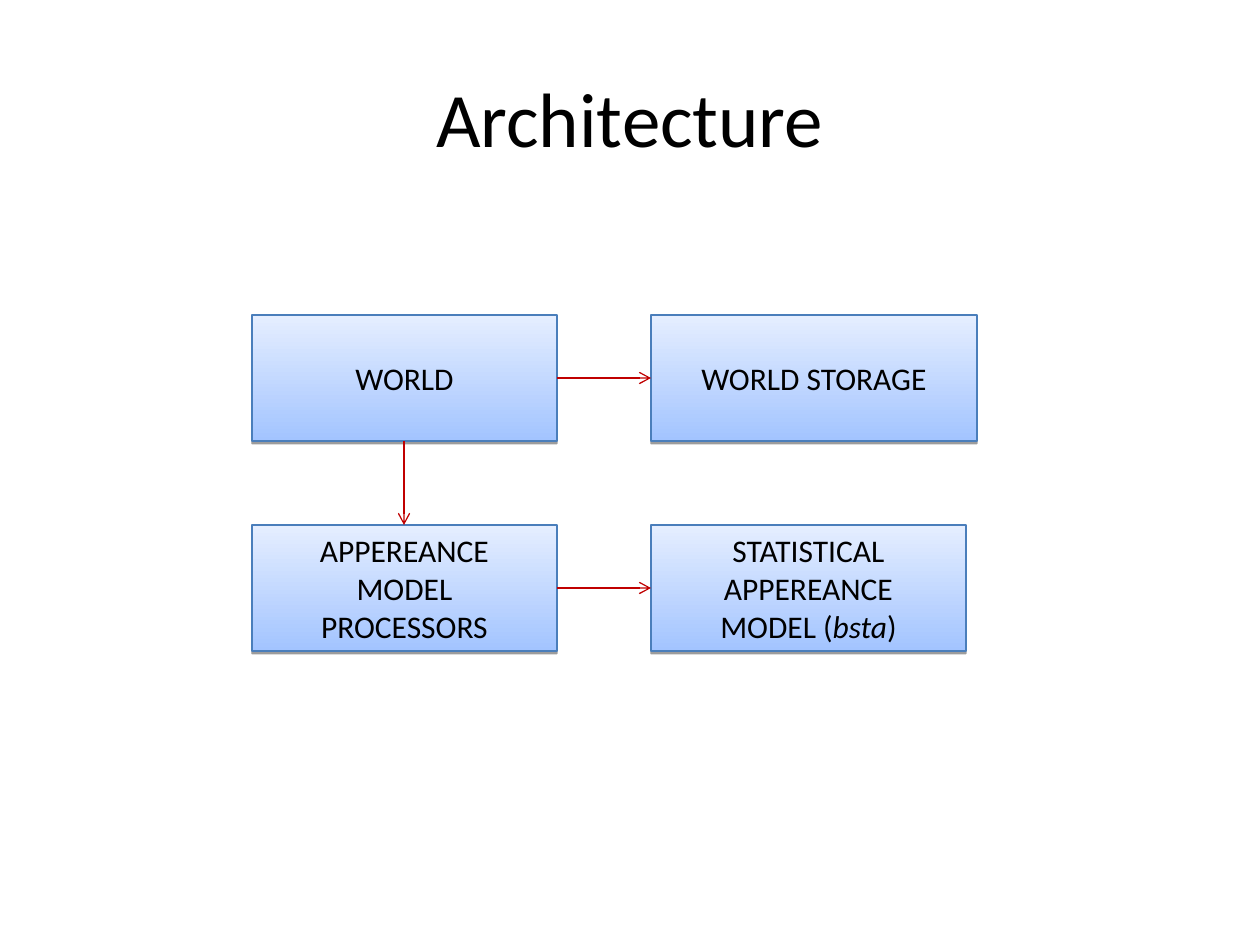
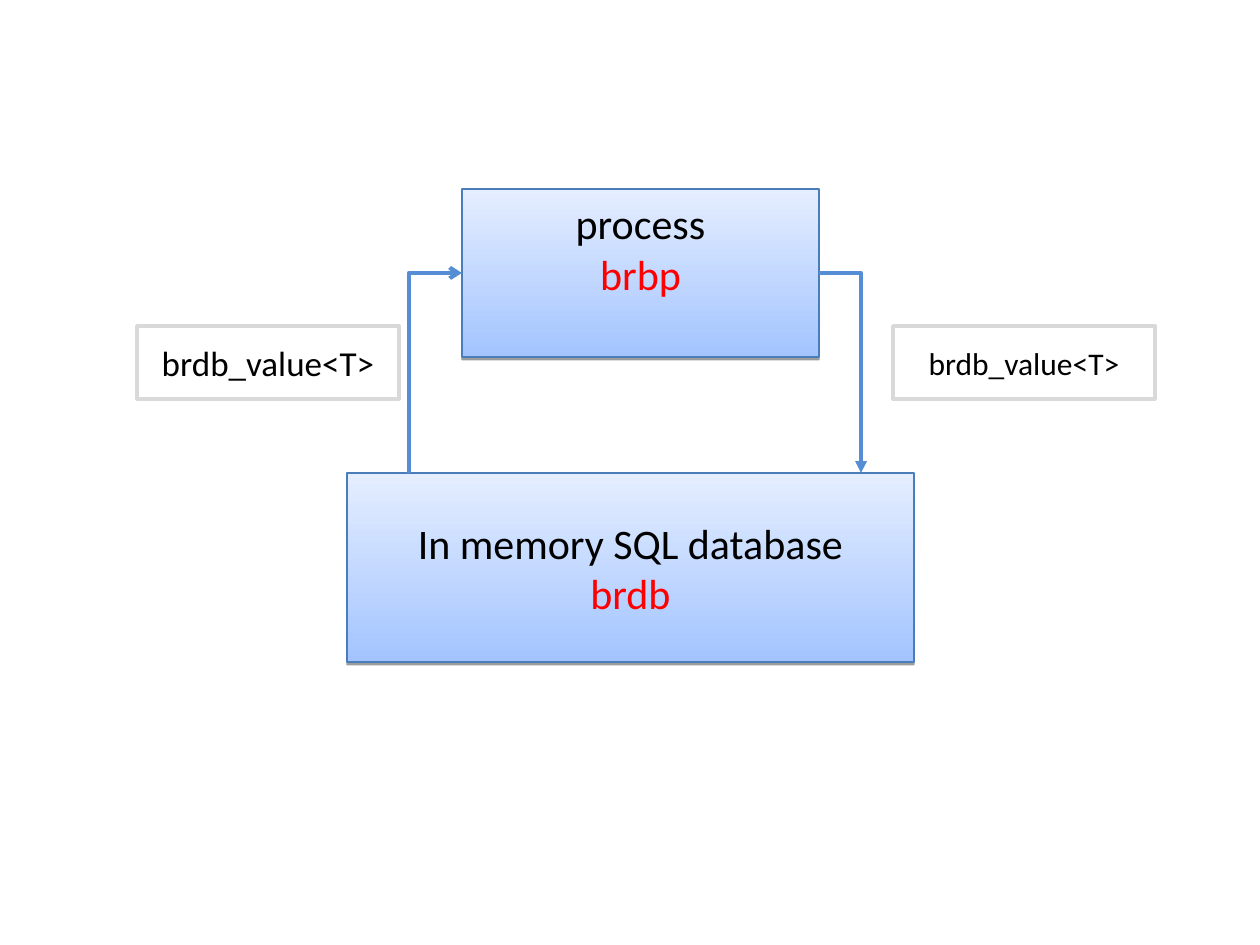
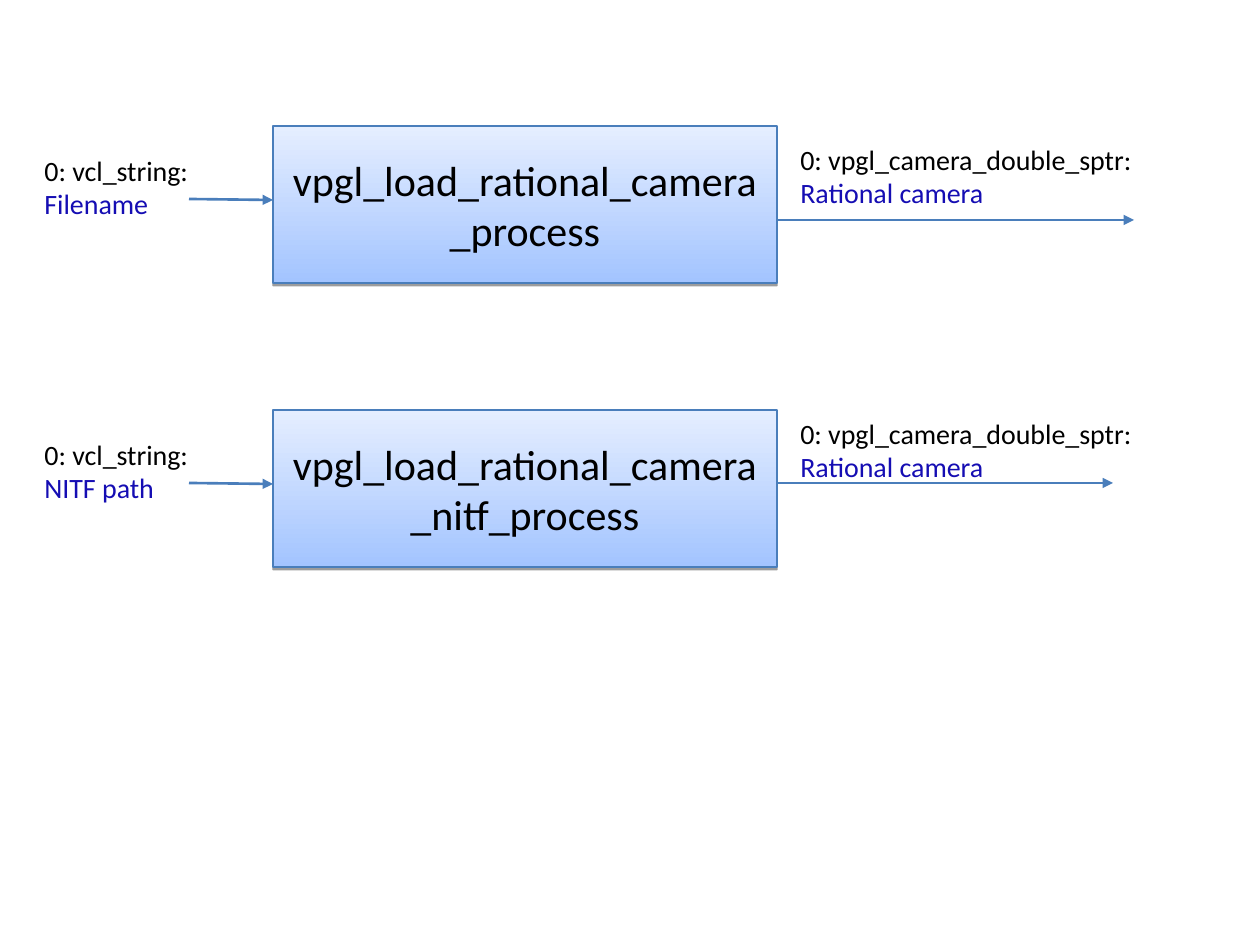
from collections import namedtuple

from lxml.etree import SubElement
from pptx import Presentation
from pptx.dml.color import RGBColor
from pptx.enum.shapes import MSO_CONNECTOR as Link, MSO_SHAPE as Preset
from pptx.enum.text import MSO_ANCHOR as Anchor, PP_ALIGN as Align
from pptx.oxml.ns import qn
from pptx.util import Pt

PX = 914400 / 126
FONT = "Calibri"
BLACK = RGBColor(0x00, 0x00, 0x00)
WHITE = RGBColor(0xFF, 0xFF, 0xFF)
RED = RGBColor(0xFF, 0x00, 0x00)
DARK_RED = RGBColor(0xC0, 0x00, 0x00)
INK_BLUE = RGBColor(0x15, 0x0D, 0xB3)
EDGE_BLUE = RGBColor(0x4A, 0x7E, 0xBB)
FLOW_BLUE = RGBColor(0x55, 0x8E, 0xD5)
PALE_GREY = RGBColor(0xD9, 0xD9, 0xD9)
GRADIENT = (RGBColor(0xA3, 0xC4, 0xFF), RGBColor(0xE5, 0xEE, 0xFF))

Span = namedtuple("Span", "text colour italic", defaults=(BLACK, False))


def add_box(page, kind, place, size, lines):
    """Add a 'node' (gradient), 'value' (outlined) or 'label' (text only); lines hold Spans."""
    place = [round(length * PX) for length in place]
    if kind == "label":
        box = page.shapes.add_textbox(*place)
    else:
        box = page.shapes.add_shape(Preset.RECTANGLE, *place)
        box.shadow.inherit = False
        box.line.color.rgb = EDGE_BLUE if kind == "node" else PALE_GREY
        box.line.width = Pt(0.75 if kind == "node" else 2)
    if kind == "value":
        box.fill.solid()
        box.fill.fore_color.rgb = WHITE
    elif kind == "node":
        box.fill.gradient()
        box.fill.gradient_angle = 90
        for position, (stop, colour) in enumerate(zip(box.fill.gradient_stops, GRADIENT)):
            stop.position = position
            stop.color.rgb = colour
        effects = box.element.spPr.find(qn("a:effectLst"))
        shadow = SubElement(effects, qn("a:outerShdw"), blurRad="0", dist="20000",
                            dir="5400000", rotWithShape="0")
        shade = SubElement(shadow, qn("a:srgbClr"), val="000000")
        SubElement(shade, qn("a:alpha"), val="38000")

    frame = box.text_frame
    frame.word_wrap = True
    frame.vertical_anchor = Anchor.TOP if kind == "label" else Anchor.MIDDLE
    for index, line in enumerate(lines):
        para = frame.add_paragraph() if index else frame.paragraphs[0]
        para.alignment = Align.LEFT if kind == "label" else Align.CENTER
        for span in line:
            run = para.add_run()
            run.text = span.text
            run.font.color.rgb = span.colour
            formats = {"name": FONT, "size": Pt(size), "italic": span.italic}
            for name, value in formats.items():
                setattr(run.font, name, value)
    return box


def add_arrow(page, ends, colour, width, tip, tip_end="tailEnd", link=Link.STRAIGHT):
    arrow = page.shapes.add_connector(link, *[round(length * PX) for length in ends])
    arrow.line.color.rgb = colour
    arrow.line.width = Pt(width)
    properties = arrow.element.spPr
    SubElement(properties.find(qn("a:ln")), qn(f"a:{tip_end}"), type=tip)
    SubElement(properties, qn("a:effectLst"))
    if link == Link.ELBOW:
        properties.find(qn("a:prstGeom")).set("prst", "bentConnector2")


deck = Presentation()
deck.slide_width, deck.slide_height = round(1260 * PX), round(945 * PX)
title_only, blank = deck.slide_layouts[5], deck.slide_layouts[6]

# Architecture
page = deck.slides.add_slide(title_only)
title = page.shapes.title
for name, length in {"left": 63, "top": 38, "width": 1134, "height": 157}.items():
    setattr(title, name, round(length * PX))
title.text_frame.text = "Architecture"
title.text_frame.vertical_anchor = Anchor.MIDDLE
title_para = title.text_frame.paragraphs[0]
title_para.alignment = Align.CENTER
for name, value in {"name": FONT, "size": Pt(44)}.items():
    setattr(title_para.font, name, value)
title_para.font.color.rgb = BLACK

LEFT, RIGHT, NODE_WIDTH, NODE_HEIGHT = 252, 651, 305, 126
rows = [
    (315, 326, [[Span("WORLD")]], [[Span("WORLD STORAGE")]]),
    (525, 315, [[Span("APPEREANCE")], [Span("MODEL")], [Span("PROCESSORS")]],
     [[Span("STATISTICAL APPEREANCE")],
      [Span("MODEL ("), Span("bsta", italic=True), Span(")")]]),
]
for top, right_width, left_lines, right_lines in rows:
    add_box(page, "node", (LEFT, top, NODE_WIDTH, NODE_HEIGHT), 18, left_lines)
    add_box(page, "node", (RIGHT, top, right_width, NODE_HEIGHT), 18, right_lines)
    middle = top + NODE_HEIGHT // 2
    add_arrow(page, (LEFT + NODE_WIDTH, middle, RIGHT, middle), DARK_RED, 0.75, "arrow")
centre = LEFT + NODE_WIDTH // 2
add_arrow(page, (centre, 441, centre, 525), DARK_RED, 0.75, "arrow")

# Process and database
page = deck.slides.add_slide(blank)
process = add_box(page, "node", (462, 189, 357, 168), 24,
                  [[Span("process")], [Span("brbp", RED)]])
process.text_frame.margin_bottom = round(56 * PX)
add_box(page, "node", (347, 473, 567, 189), 24,
        [[Span("In memory SQL database")], [Span("brdb", RED)]])
add_arrow(page, (819, 273, 861, 473), FLOW_BLUE, 2.25, "triangle", link=Link.ELBOW)
add_arrow(page, (462, 273, 409, 473), FLOW_BLUE, 2.25, "arrow", "headEnd", Link.ELBOW)
for left, size in ((137, 20), (893, 18)):
    add_box(page, "value", (left, 326, 262, 73), size, [[Span("brdb_value<T>")]])

# Camera loading processes
page = deck.slides.add_slide(blank)
camera_rows = [
    (126, "vpgl_load_rational_camera_process", "Filename", 136, 220, 1134),
    (410, "vpgl_load_rational_camera_nitf_process", "NITF path", 410, 483, 1113),
]
for top, process_name, source, output_top, output_y, output_end in camera_rows:
    add_box(page, "node", (273, top, 504, 157), 24, [[Span(process_name)]])
    add_box(page, "label", (32, top + 21, 210, 113), 16,
            [[Span("0: vcl_string:")], [Span(source, INK_BLUE)]])
    add_box(page, "label", (788, output_top, 389, 113), 16,
            [[Span("0: vpgl_camera_double_sptr:")], [Span("Rational camera", INK_BLUE)]])
    add_arrow(page, (189, top + 73, 273, top + 74), EDGE_BLUE, 1.5, "triangle")
    add_arrow(page, (777, output_y, output_end, output_y), EDGE_BLUE, 1.5, "triangle")

deck.save("out.pptx")
